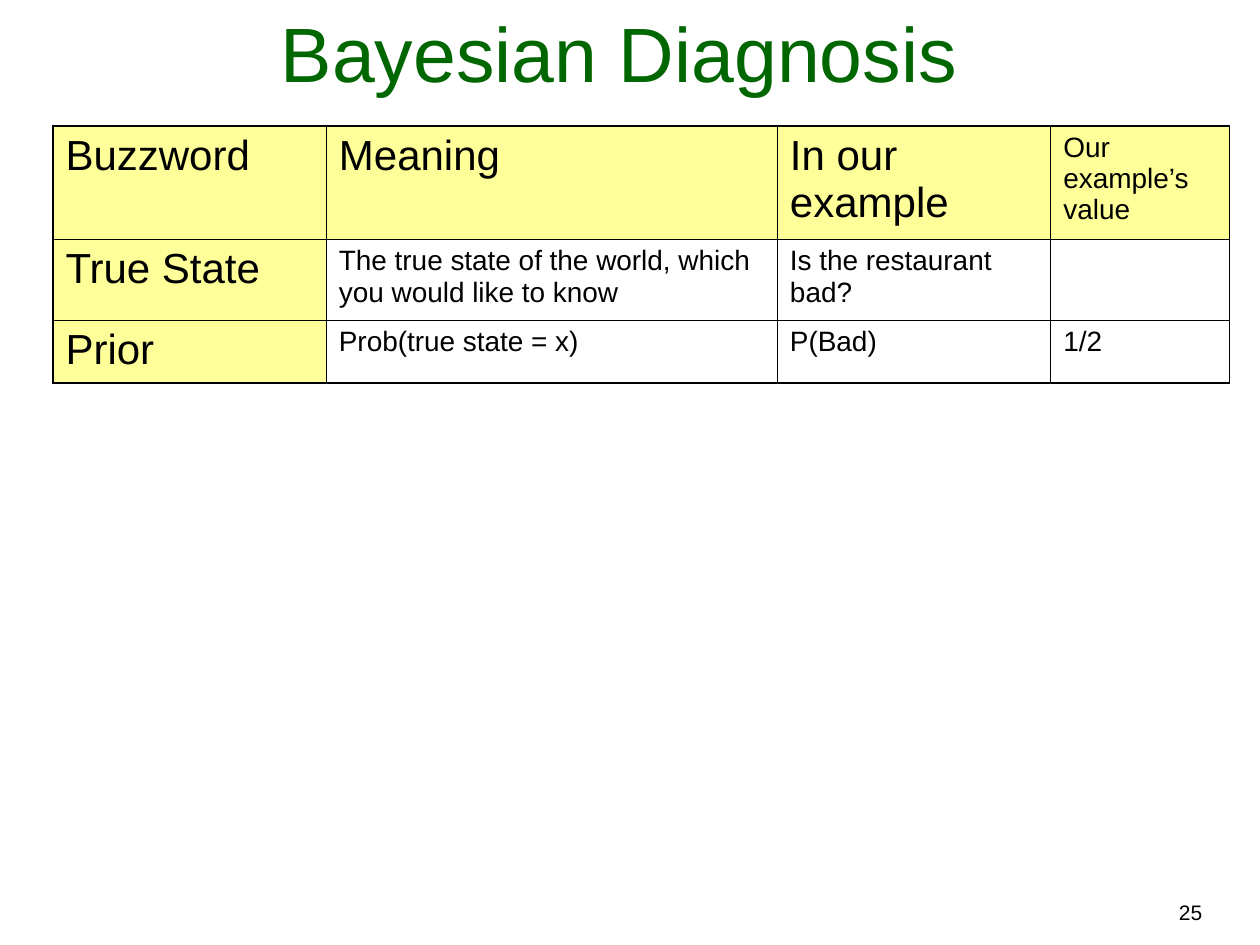
import pptx
import pptx.dml.color
import pptx.enum.text
import pptx.oxml
import pptx.oxml.ns
import pptx.util
from pptx.util import Inches, Pt

ALIGN = pptx.enum.text.PP_ALIGN
ANCHOR = pptx.enum.text.MSO_ANCHOR
COLORS = {"title": "006600", "text": "000000", "label": "FFFF99", "border": "000000"}
FONT = "Arial"
LARGE, SMALL = 24, 16
THICK, THIN = 1.08, 0.45

TITLE = "Bayesian Diagnosis"
PAGE_NUMBER = "25"
ROWS = [
    ["Buzzword", "Meaning", "In our example", "Our example’s value"],
    ["True State", "The true state of the world, which you would like to know",
     "Is the restaurant bad?", ""],
    ["Prior", "Prob(true state = x)", "P(Bad)", "1/2"],
]
COL_WIDTHS = [2.17, 3.58, 2.17, 1.42]
ROW_HEIGHTS = [0.9, 0.64, 0.5]


def rgb(name):
    return pptx.dml.color.RGBColor.from_string(COLORS[name])


def write(tf, text, size=SMALL, color="text", align=ALIGN.LEFT):
    tf.word_wrap = True
    p = tf.paragraphs[0]
    p.alignment = align
    p.font.size = Pt(size)
    if text:
        r = p.add_run()
        r.text = text
        r.font.name = FONT
        r.font.size = Pt(size)
        r.font.color.rgb = rgb(color)


def set_borders(cell, widths):
    """Draw the cell's edges; widths maps L, R, T, B (in that order) to points."""
    tc_pr = cell._tc.get_or_add_tcPr()
    for side, width in widths.items():
        tc_pr.append(pptx.oxml.parse_xml(
            f'<a:ln{side} {pptx.oxml.ns.nsdecls("a")} w="{int(Pt(width))}">'
            f'<a:solidFill><a:srgbClr val="{COLORS["border"]}"/></a:solidFill>'
            f'</a:ln{side}>'))


def add_title(s):
    sp = s.shapes.title
    sp.left, sp.top, sp.width, sp.height = map(Inches, (0.25, 0.08, 9.33, 0.75))
    tf = sp.text_frame
    tf.auto_size = pptx.enum.text.MSO_AUTO_SIZE.NONE
    tf.vertical_anchor = ANCHOR.BOTTOM
    write(tf, TITLE, size=44, color="title", align=ALIGN.CENTER)


def add_buzzword_table(s):
    last_row, last_col = len(ROWS) - 1, len(COL_WIDTHS) - 1
    table = s.shapes.add_table(
        len(ROWS), len(COL_WIDTHS), Inches(0.42), Inches(1),
        Inches(sum(COL_WIDTHS)), Inches(sum(ROW_HEIGHTS))).table
    table.first_row = table.horz_banding = False
    for col, width in zip(table.columns, COL_WIDTHS):
        col.width = Inches(width)
    for i, (row, height) in enumerate(zip(ROWS, ROW_HEIGHTS)):
        table.rows[i].height = Inches(height)
        for j, text in enumerate(row):
            cell = table.cell(i, j)
            outer = {"L": j == 0, "R": j == last_col, "T": i == 0, "B": i == last_row}
            set_borders(cell, {k: THICK if edge else THIN for k, edge in outer.items()})
            is_label = i == 0 or j == 0
            if is_label:
                cell.fill.solid()
                cell.fill.fore_color.rgb = rgb("label")
            else:
                cell.fill.background()
            write(cell.text_frame, text,
                  size=LARGE if is_label and j < last_col else SMALL)


def add_page_number(s):
    box = s.shapes.add_textbox(Inches(5.72), Inches(7.09), Inches(3.92), Inches(0.3))
    write(box.text_frame, PAGE_NUMBER, size=12, align=ALIGN.RIGHT)


def main():
    prs = pptx.Presentation()
    prs.slide_width, prs.slide_height = Inches(10), Inches(7.5)
    s = prs.slides.add_slide(prs.slide_layouts[5])
    add_title(s)
    add_buzzword_table(s)
    add_page_number(s)
    prs.save("out.pptx")


if __name__ == "__main__":
    main()
